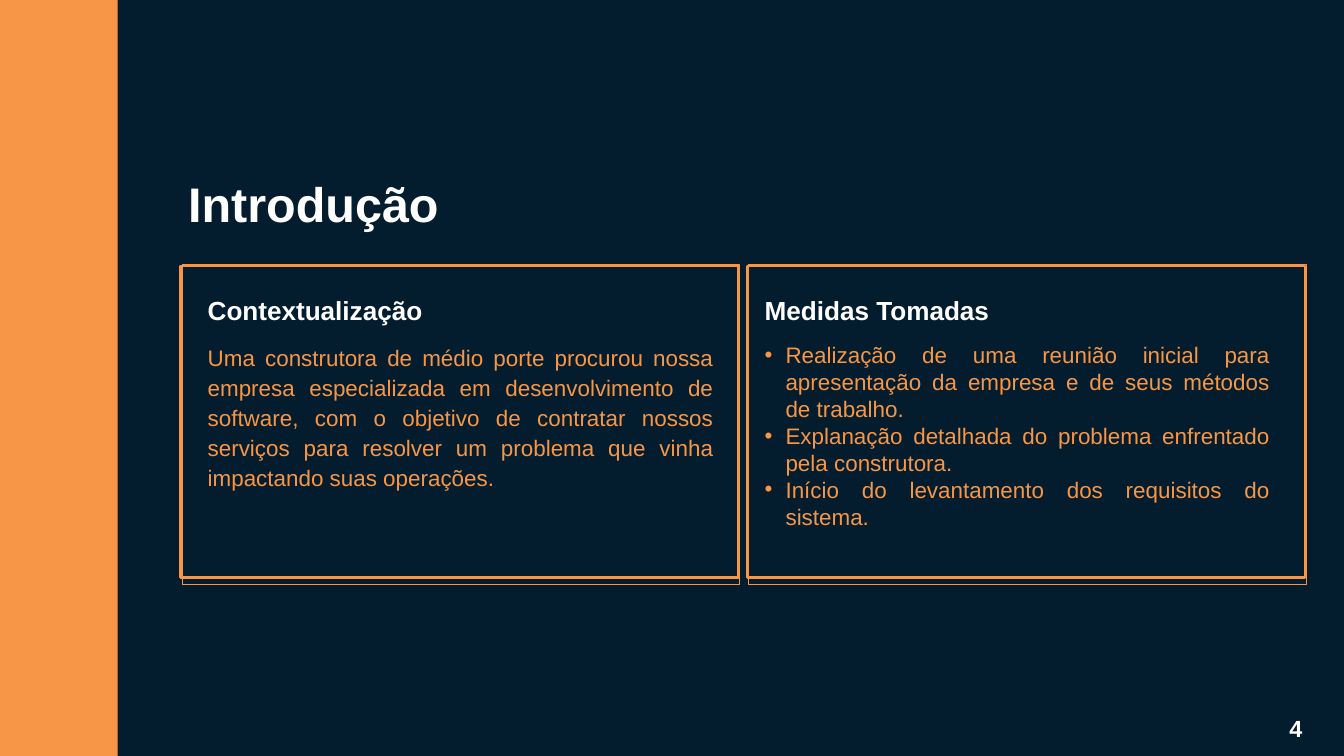
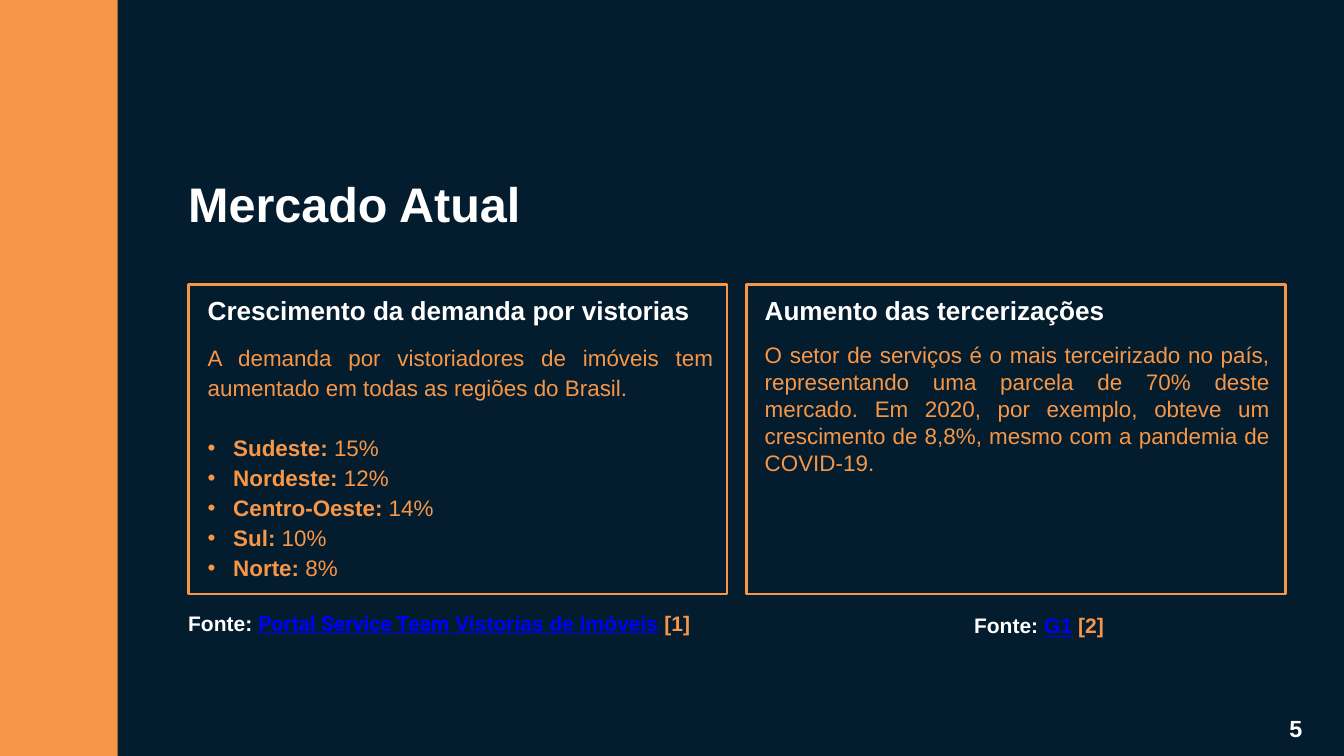
from typing import NamedTuple

from lxml.etree import SubElement
from pptx import Presentation
from pptx.dml.color import RGBColor
from pptx.enum.shapes import MSO_SHAPE
from pptx.enum.text import MSO_ANCHOR, MSO_AUTO_SIZE, PP_ALIGN
from pptx.oxml.ns import qn
from pptx.util import Emu, Pt

NAVY = RGBColor(0x04, 0x1D, 0x2E)
ORANGE = RGBColor(0xF7, 0x96, 0x46)
WHITE = RGBColor(0xFF, 0xFF, 0xFF)
LINK_BLUE = RGBColor(0x00, 0x00, 0xFF)

EMU_PER_PX = 9144  # 100 px to the inch
SLIDE_WIDTH, SLIDE_HEIGHT = 2000, 1125
LEFT_TEXT, RIGHT_TEXT = 309, 1138


def px(length):
    return Emu(length * EMU_PER_PX)


class TextStyle(NamedTuple):
    size: float
    color: RGBColor = WHITE
    bold: bool = True
    align: PP_ALIGN = PP_ALIGN.LEFT
    line_pt: float = None


TITLE = TextStyle(52, line_pt=72.8)
HEADING = TextStyle(28, line_pt=27)
BODY = TextStyle(24, ORANGE, False, PP_ALIGN.JUSTIFY)
OPEN_BODY = BODY._replace(line_pt=32.2)
PAGE_NUMBER = TextStyle(25)
SOURCE = TextStyle(22.5, line_pt=27)
CENTRED_SOURCE = TextStyle(22.5, align=PP_ALIGN.CENTER)


class Deck:
    """Holds the shared style and the slide being built."""

    def __init__(self):
        self.prs = Presentation()
        self.prs.slide_width = px(SLIDE_WIDTH)
        self.prs.slide_height = px(SLIDE_HEIGHT)
        background = self.prs.slide_master.background.fill
        background.solid()
        background.fore_color.rgb = NAVY
        self.slide = None

    def new_slide(self, title, number):
        self.slide = self.prs.slides.add_slide(self.prs.slide_layouts[5])
        self.band(0, 0, 175, SLIDE_HEIGHT)
        heading = self.slide.shapes.title
        heading.left, heading.top = px(280), px(244)
        heading.width, heading.height = px(1441), px(93)
        self.prepare(heading.text_frame, 0, 0)
        self.fill_paragraph(heading.text_frame.paragraphs[0], title, TITLE)
        self.text(1909, 1058, 72, 52, [number], PAGE_NUMBER, inset=(10, 5))

    def rectangle(self, x, y, width, height):
        shape = self.slide.shapes.add_shape(
            MSO_SHAPE.RECTANGLE, px(x), px(y), px(width), px(height))
        shape.shadow.inherit = False
        return shape

    def band(self, x, y, width, height):
        band = self.rectangle(x, y, width, height)
        band.fill.solid()
        band.fill.fore_color.rgb = ORANGE
        band.line.fill.background()

    def frame(self, x, y, width, height, line_width=3):
        frame = self.rectangle(x, y, width, height)
        frame.fill.background()
        frame.line.color.rgb = ORANGE
        frame.line.width = Pt(line_width)

    def prepare(self, text_frame, inset_x, inset_y):
        text_frame.word_wrap = True
        text_frame.auto_size = MSO_AUTO_SIZE.SHAPE_TO_FIT_TEXT
        text_frame.vertical_anchor = MSO_ANCHOR.TOP
        text_frame.margin_left = text_frame.margin_right = px(inset_x)
        text_frame.margin_top = text_frame.margin_bottom = px(inset_y)

    def text(self, x, y, width, height, paragraphs, style,
             inset=(0, 0), indent=0, first_bullet=0, bullet_gap=0):
        """Add paragraphs; with an indent, bullets start at first_bullet."""
        box = self.slide.shapes.add_textbox(px(x), px(y), px(width), px(height))
        frame = box.text_frame
        self.prepare(frame, *inset)
        for index, content in enumerate(paragraphs):
            paragraph = frame.add_paragraph() if index else frame.paragraphs[0]
            if indent and index >= first_bullet:
                self.bullet(paragraph, indent)
            if bullet_gap and index == first_bullet:
                paragraph.space_before = Pt(bullet_gap)
            self.fill_paragraph(paragraph, content, style)

    def bullet(self, paragraph, indent):
        properties = paragraph._p.get_or_add_pPr()
        properties.set("marL", str(px(indent)))
        properties.set("indent", str(-px(indent)))
        SubElement(properties, qn("a:buFont")).set("typeface", "Arial")
        SubElement(properties, qn("a:buChar")).set("char", "•")

    def fill_paragraph(self, paragraph, content, style):
        """Content is a string, or a list of (words, font changes) pairs."""
        paragraph.alignment = style.align
        if style.line_pt:
            paragraph.line_spacing = Pt(style.line_pt)
        font = paragraph.font
        font.name, font.size, font.bold = "Arial", Pt(style.size), style.bold
        font.color.rgb = style.color
        runs = [(content, {})] if isinstance(content, str) else content
        for words, changes in runs:
            run = paragraph.add_run()
            run.text = words
            if "color" in changes:
                run.font.color.rgb = changes["color"]
            run.font.bold = changes.get("bold")
            run.font.underline = changes.get("underline")
            run.font.name = changes.get("name")


def add_introduction(deck):
    deck.new_slide("Introdução", "4")

    # Double frames
    for x in (269, 1112):
        deck.frame(x + 2, 394, 830, 475, line_width=0.75)
        deck.frame(x, 396, 830, 464)

    # Context
    deck.text(LEFT_TEXT, 447, 438, 38, ["Contextualização"], HEADING)
    deck.text(LEFT_TEXT, 507, 752, 220, [
        "Uma construtora de médio porte procurou nossa empresa especializada "
        "em desenvolvimento de software, com o objetivo de contratar nossos "
        "serviços para resolver um problema que vinha impactando suas "
        "operações."], OPEN_BODY)

    # Measures taken
    deck.text(RIGHT_TEXT, 447, 530, 38, ["Medidas Tomadas"], HEADING)
    deck.text(RIGHT_TEXT, 508, 751, 323, [
        "Realização de uma reunião inicial para apresentação da empresa e de "
        "seus métodos de trabalho.",
        "Explanação detalhada do problema enfrentado pela construtora.",
        "Início do levantamento dos requisitos do sistema."], BODY, indent=31)


def add_market(deck):
    deck.new_slide("Mercado Atual", "5")
    for x in (280, 1111):
        deck.frame(x, 423, 802, 461)

    # Demand growth by region
    growth = {"Sudeste": 15, "Nordeste": 12, "Centro-Oeste": 14,
              "Sul": 10, "Norte": 8}
    regions = [[(f"{region}:", {"bold": True}), (f" {percent}%", {})]
               for region, percent in growth.items()]
    deck.text(LEFT_TEXT, 447, 729, 38,
              ["Crescimento da demanda por vistorias"], HEADING)
    deck.text(LEFT_TEXT, 507, 752, 356, [
        "A demanda por vistoriadores de imóveis tem aumentado em todas as "
        "regiões do Brasil.", *regions], OPEN_BODY,
        indent=38, first_bullet=1, bullet_gap=OPEN_BODY.line_pt)

    # Outsourcing growth
    deck.text(RIGHT_TEXT, 447, 530, 38, ["Aumento das tercerizações"], HEADING)
    deck.text(RIGHT_TEXT, 508, 751, 239, [
        "O setor de serviços é o mais terceirizado no país, representando uma "
        "parcela de 70% deste mercado. Em 2020, por exemplo, obteve um "
        "crescimento de 8,8%, mesmo com a pandemia de COVID-19."], BODY)

    # Sources
    cited = {"color": LINK_BLUE, "underline": True}
    reference = {"color": ORANGE}
    deck.text(280, 908, 803, 38, [[
        ("Fonte: ", {}),
        ("Portal Service Team", {**cited, "name": "Roboto"}),
        (" Vistorias de Imóveis", cited),
        (" [1]", reference)]], SOURCE)
    deck.text(1425, 907, 242, 86, [[
        ("Fonte: ", {}), ("G1", cited), (" [2]", reference)]],
        CENTRED_SOURCE, inset=(10, 5))


def main():
    deck = Deck()
    add_introduction(deck)
    add_market(deck)
    deck.prs.save("out.pptx")


if __name__ == "__main__":
    main()
